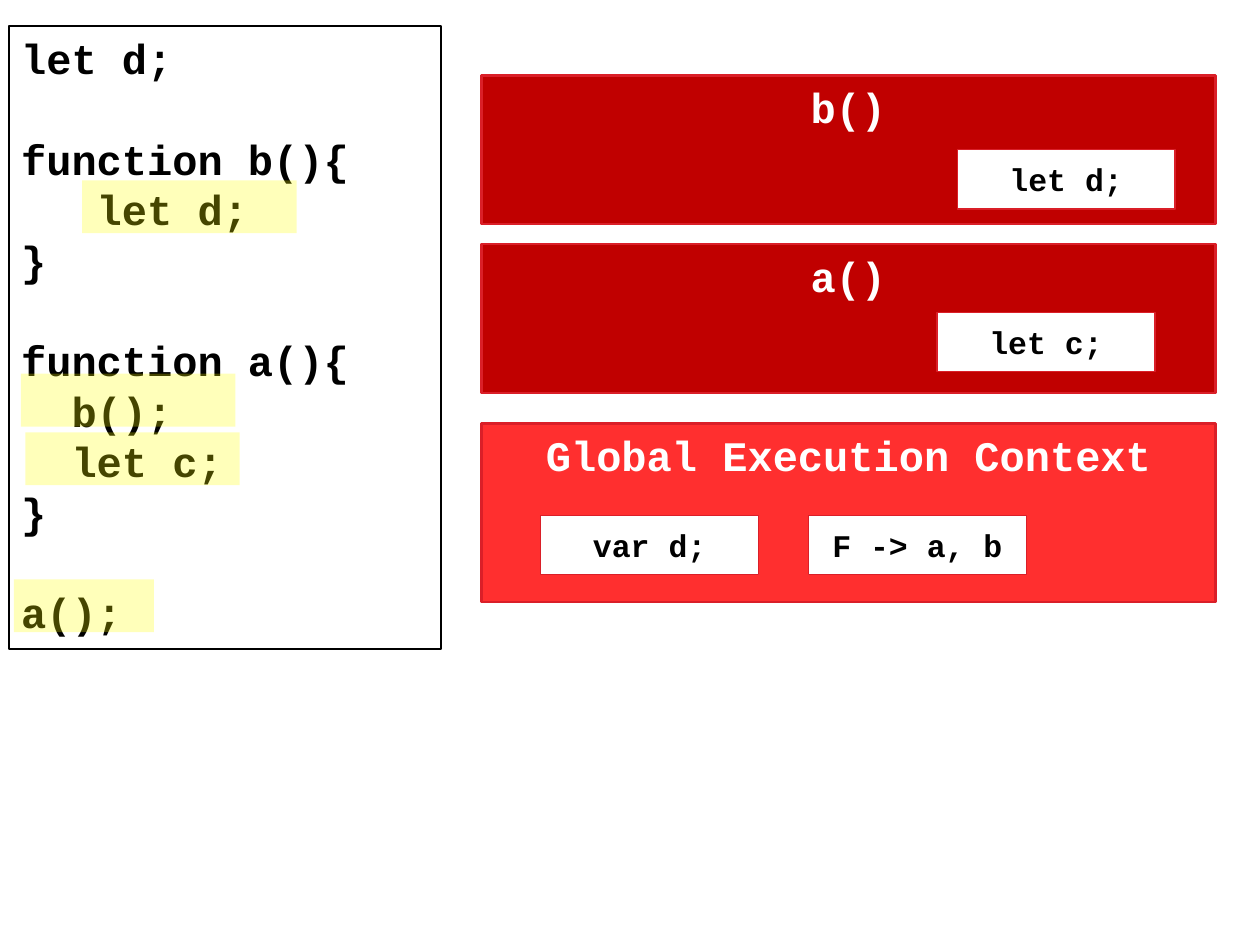
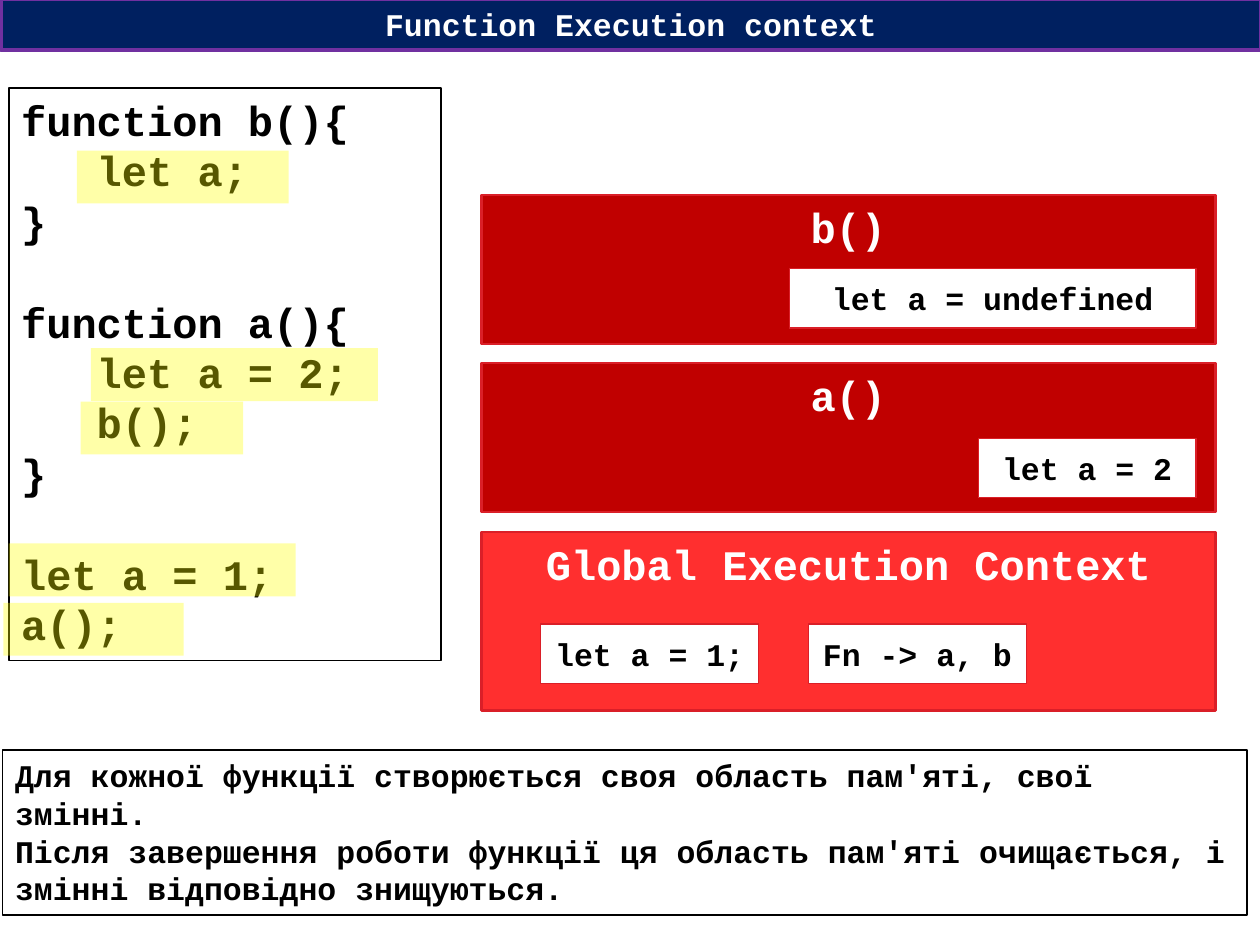
from lxml.etree import SubElement
from pptx import Presentation
from pptx.dml.color import RGBColor
from pptx.enum.shapes import MSO_SHAPE
from pptx.enum.text import MSO_ANCHOR, PP_ALIGN
from pptx.oxml.ns import qn
from pptx.util import Pt

WHITE = RGBColor(0xFF, 0xFF, 0xFF)
BLACK = RGBColor(0, 0, 0)
YELLOW = RGBColor(0xFF, 0xFF, 0)
NAVY = RGBColor(0x00, 0x20, 0x60)
PURPLE = RGBColor(0x70, 0x30, 0xA0)
DARK = RGBColor(0xC0, 0, 0)
BRIGHT = RGBColor(0xFF, 0x2F, 0x2F)
EDGE = RGBColor(0xDA, 0x1F, 0x28)

FONT = "Courier New"
PITCH = 1.2  # line height per point of text size
CODE_X, CODE_W = 5, 247
STACK_X, STACK_W = 275, 419.5
CALL_H, GLOBAL_H = 85, 102
CHIP_W, CHIP_H = 124.5, 34
MARK_H = 30.25


def add_box(slide, x, y, w, h, fill, line=None, width=1, alpha=None):
    box = slide.shapes.add_shape(MSO_SHAPE.RECTANGLE, Pt(x), Pt(y), Pt(w), Pt(h))
    box.shadow.inherit = False
    box.fill.solid()
    box.fill.fore_color.rgb = fill
    if alpha is not None:
        color = box.fill._xPr.find(qn("a:solidFill"))[0]
        SubElement(color, qn("a:alpha")).set("val", str(alpha * 1000))
    if line is None:
        box.line.fill.background()
    else:
        box.line.color.rgb = line
        box.line.width = Pt(width)
    return box


def write(box, text, size=24, color=WHITE, align=PP_ALIGN.CENTER,
          anchor=MSO_ANCHOR.TOP):
    """Write one paragraph a line; an empty line becomes space before the next."""
    frame = box.text_frame
    frame.word_wrap = True
    frame.vertical_anchor = anchor
    para, gap = None, 0
    for line in text.split("\n"):
        if not line:
            gap += size * PITCH
            continue
        para = frame.add_paragraph() if para else frame.paragraphs[0]
        para.alignment = align
        if gap:
            para.space_before = Pt(gap)
        gap = 0
        run = para.add_run()
        run.text = line
        font = run.font
        font.name, font.size, font.bold = FONT, Pt(size), True
        font.color.rgb = color


def add_title(slide, text):
    box = add_box(slide, 0.5, -0.5, 720, 29, NAVY, PURPLE, 2.25)
    write(box, text, size=18)


def add_frame(slide, x, y, w, h, text, size=24):
    """Outlined, nearly clear box with left-aligned black text."""
    box = add_box(slide, x, y, w, h, WHITE, BLACK, 1, alpha=7)
    write(box, text, size=size, color=BLACK, align=PP_ALIGN.LEFT)


def add_code(slide, y, h, text, marks, alpha):
    """Code box; each mark is (dx, dy, width) from its corner."""
    add_frame(slide, CODE_X, y, CODE_W, h, text)
    for dx, dy, w in marks:
        add_box(slide, CODE_X + dx, y + dy, w, MARK_H, YELLOW, alpha=alpha)


def add_panel(slide, y, h, fill, name, chips):
    """Context panel; each chip is (text, dx, dy, width) from its corner."""
    write(add_box(slide, STACK_X, y, STACK_W, h, fill, EDGE, 1.5), name)
    for text, dx, dy, w in chips:
        chip = add_box(slide, STACK_X + dx, y + dy, w, CHIP_H, WHITE, EDGE, 0.75)
        write(chip, text, size=18, color=BLACK, anchor=MSO_ANCHOR.MIDDLE)


def add_call(slide, y, name, text, dx, dy, w=CHIP_W):
    add_panel(slide, y, CALL_H, DARK, name, [(text, dx, dy, w)])


def add_global(slide, y, *names):
    chips = [(name, 34 + i * 153, 52.5, CHIP_W) for i, name in enumerate(names)]
    add_panel(slide, y, GLOBAL_H, BRIGHT, "Global Execution Context", chips)


NESTED = """let d;

function b(){
   let d;
}

function a(){
  b();
  let c;
}

a();"""

SCOPED = """function b(){
   let a;
}

function a(){
   let a = 2;
   b();
}

let a = 1;
a();"""

NOTE = """Для кожної функції створюється своя область пам'яті, свої змінні.
Після завершення роботи функції ця область пам'яті очищається, і змінні відповідно знищуються."""


def nested_calls(slide):
    marks = [(42, 88, 122.5), (7, 198.5, 122.5), (9.5, 232, 122.5), (3, 316, 80)]
    add_code(slide, 15, 356, NESTED, marks, 27)
    add_call(slide, 43, "b()", "let d;", 272, 42.5)
    add_call(slide, 139.5, "a()", "let c;", 260.5, 39)
    add_global(slide, 242, "var d;", "F -> a, b")


def own_scopes(slide):
    add_title(slide, "Function Execution context")
    marks = [(39, 35.5, 121), (47, 148.5, 164), (41, 179, 93),
             (0, 260, 164), (-3, 294, 103)]
    add_code(slide, 50.5, 327, SCOPED, marks, 34)
    add_call(slide, 111.5, "b()", "let a = undefined", 176, 42, 232.5)
    add_call(slide, 207.5, "a()", "let a = 2", 284, 43)
    add_global(slide, 304, "let a = 1;", "Fn -> a, b")
    add_frame(slide, 1.5, 428.5, 711, 94.5, NOTE, size=18)


def main():
    deck = Presentation()
    deck.slide_width, deck.slide_height = Pt(720), Pt(540)
    for build in (nested_calls, own_scopes):
        build(deck.slides.add_slide(deck.slide_layouts[6]))
    deck.save("out.pptx")


if __name__ == "__main__":
    main()
